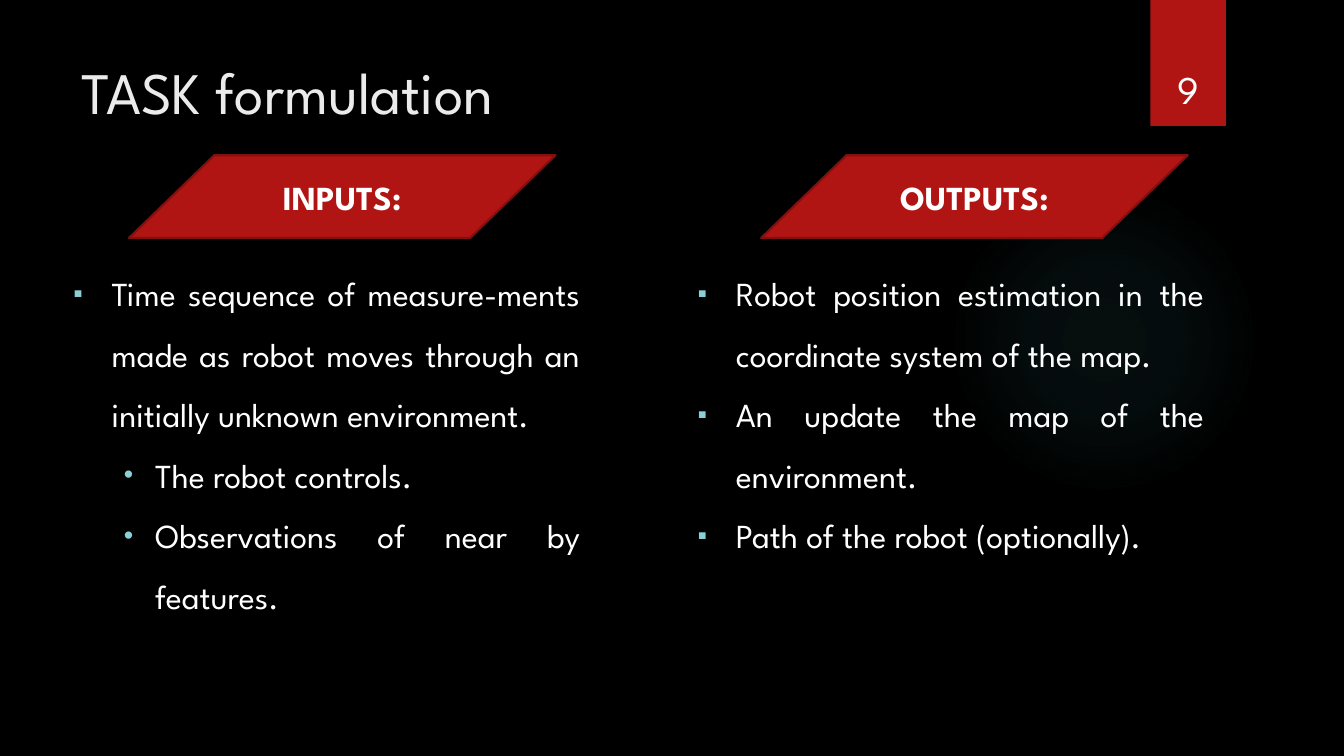
from lxml import etree
from pptx import Presentation
from pptx.dml.color import RGBColor
from pptx.enum.shapes import MSO_SHAPE
from pptx.enum.text import MSO_ANCHOR, PP_ALIGN
from pptx.oxml import parse_xml
from pptx.oxml.ns import qn
from pptx.util import Inches, Pt

RECT, OVAL, DATA = MSO_SHAPE.RECTANGLE, MSO_SHAPE.OVAL, MSO_SHAPE.FLOWCHART_DATA
TOP, MIDDLE, BOTTOM = MSO_ANCHOR.TOP, MSO_ANCHOR.MIDDLE, MSO_ANCHOR.BOTTOM
LEFT, CENTER, JUST = PP_ALIGN.LEFT, PP_ALIGN.CENTER, PP_ALIGN.JUSTIFY

FONT = "League Spartan"
RED, EDGE, WHITE, PALE = "B01513", "82100E", "FFFFFF", "EBEBEB"
TEAL, GLOW = "8AD0D6", "50B9C1"
STOPS = [(0, 7), (36, 6), (69, 0)]  # position and opacity, percent
MARKS = [("▪", 0.38, 0.38), ("•", 0.81, 0.31)]  # mark, indent, hang

INPUTS = [
    (0, "Time sequence of measure-ments made as robot moves through an "
        "initially unknown environment."),
    (1, "The robot controls."),
    (1, "Observations of near by features."),
]
OUTPUTS = [
    (0, "Robot position estimation in the coordinate system of the map."),
    (0, "An update the map of the environment."),
    (0, "Path of the robot (optionally)."),
]


def color(text):
    return RGBColor.from_string(text)


def style(para, size, tint, align, bold=False):
    para.alignment = align
    for run in para.runs:
        run.font.name = FONT
        run.font.size = Pt(size)
        run.font.bold = bold
        run.font.color.rgb = color(tint)


def add_shape(slide, kind, area, fill, edge=None):
    shape = slide.shapes.add_shape(kind, *map(Inches, area))
    shape.shadow.inherit = False
    shape.fill.solid()
    shape.fill.fore_color.rgb = color(fill)
    if edge:
        shape.line.color.rgb = color(edge)
        shape.line.width = Pt(1.5)
    else:
        shape.line.fill.background()
    return shape


def add_glow(slide, area):
    shape = add_shape(slide, OVAL, area, GLOW)
    stops = "".join(
        f'<a:gs pos="{pos * 1000}"><a:srgbClr val="{GLOW}">'
        f'<a:alpha val="{alpha * 1000}"/></a:srgbClr></a:gs>'
        for pos, alpha in STOPS)
    grad = parse_xml(
        '<a:gradFill xmlns:a="http://schemas.openxmlformats.org/drawingml/2006/main">'
        f'<a:gsLst>{stops}</a:gsLst><a:path path="circle">'
        '<a:fillToRect l="50000" t="50000" r="50000" b="50000"/>'
        '</a:path></a:gradFill>')
    props = shape.fill._xPr
    props.replace(props.find(qn("a:solidFill")), grad)


def add_text(slide, area, anchor):
    frame = slide.shapes.add_textbox(*map(Inches, area)).text_frame
    frame.word_wrap = True
    frame.vertical_anchor = anchor
    return frame


def add_mark(para, level):
    mark, indent, hang = MARKS[level]
    props = para._p.get_or_add_pPr()
    props.set("marL", str(Inches(indent)))
    props.set("indent", str(-Inches(hang)))
    tint = etree.SubElement(props, qn("a:buClr"))
    etree.SubElement(tint, qn("a:srgbClr"), val=TEAL)
    etree.SubElement(props, qn("a:buSzPct"), val="80000")
    etree.SubElement(props, qn("a:buFont"), typeface="Arial")
    etree.SubElement(props, qn("a:buChar"), char=mark)


def add_list(slide, left, items):
    frame = add_text(slide, (left, 2.46, 5.22, 4.18), TOP)
    for i, (level, text) in enumerate(items):
        para = frame.paragraphs[0] if i == 0 else frame.add_paragraph()
        para.text = text
        para.level = level
        add_mark(para, level)
        para.line_spacing = 1.5
        style(para, 24, WHITE, JUST)


def add_head(slide, left, text):
    shape = add_shape(slide, DATA, (left, 1.54, 4.23, 0.82), RED, EDGE)
    frame = shape.text_frame
    frame.text = text
    frame.vertical_anchor = MIDDLE
    style(frame.paragraphs[0], 24, WHITE, CENTER, bold=True)


def set_title(slide, text):
    title = slide.shapes.title
    title.left, title.top = Inches(0.71), Inches(0.5)
    title.width, title.height = Inches(10.29), Inches(1.53)
    title.text_frame.text = text
    title.text_frame.vertical_anchor = TOP
    style(title.text_frame.paragraphs[0], 42, PALE, LEFT)


def main():
    deck = Presentation()
    deck.slide_width, deck.slide_height = Inches(13.33), Inches(7.5)
    slide = deck.slides.add_slide(deck.slide_layouts[5])
    slide.background.fill.solid()
    slide.background.fill.fore_color.rgb = color("000000")

    # Backdrop and title
    add_glow(slide, (9.41, 1.83, 3.08, 3.08))
    add_shape(slide, RECT, (11.41, 0, 0.75, 1.25), RED)
    set_title(slide, "TASK formulation")

    # Slide number
    frame = add_text(slide, (11.32, 0.32, 0.92, 0.84), BOTTOM)
    frame.text = "9"
    style(frame.paragraphs[0], 28, WHITE, CENTER)

    # Two columns
    add_list(slide, 0.63, INPUTS)
    add_list(slide, 6.82, OUTPUTS)
    add_head(slide, 1.28, "INPUTS:")
    add_head(slide, 7.55, "OUTPUTS:")

    deck.save("out.pptx")


if __name__ == "__main__":
    main()
